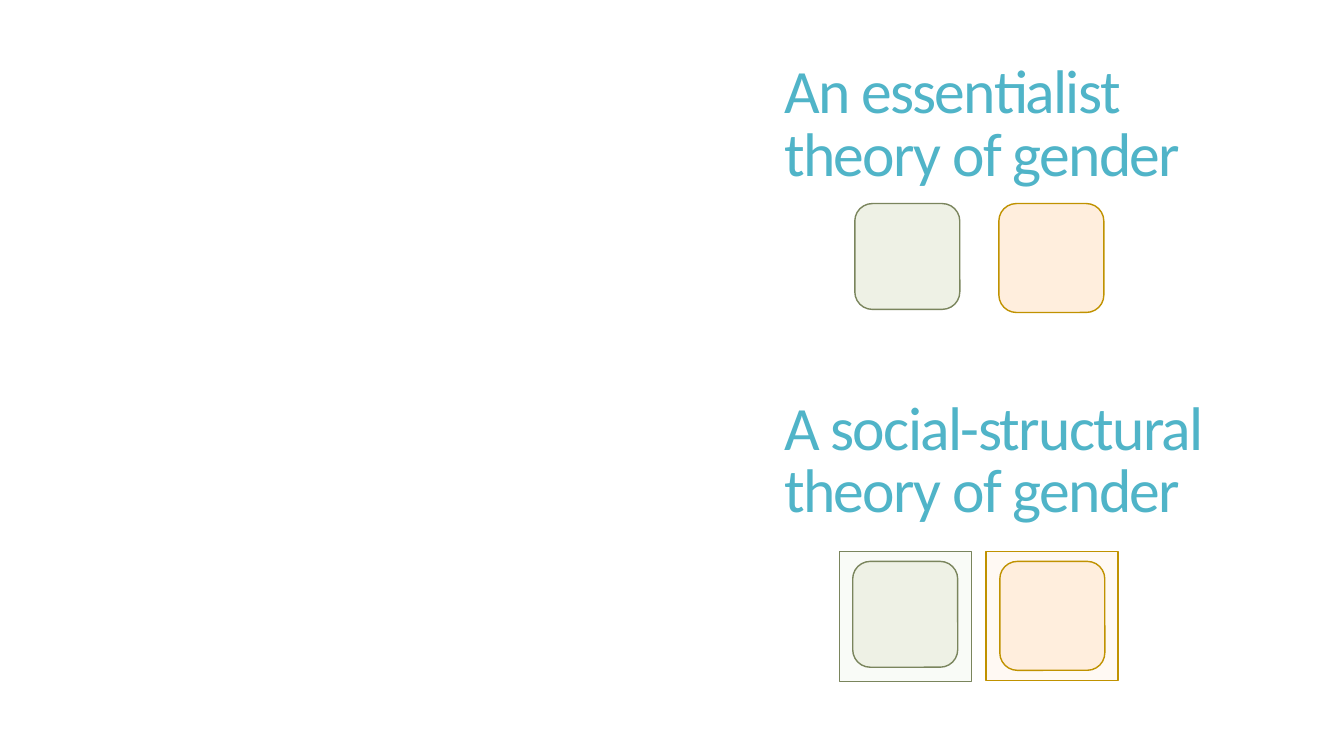
from dataclasses import dataclass

from pptx import Presentation
from pptx import util as u
from pptx.dml import color
from pptx.enum import shapes, text


@dataclass(frozen=True)
class Tone:
    tile: str
    frame: str
    line: str


@dataclass(frozen=True)
class Theme:
    font: str = "Calibri"
    heading: str = "50B4C8"
    heading_size: float = 44
    heading_leading: float = 0.85
    heading_tracking: float = -1.2
    line_width: float = 1
    green: Tone = Tone("EEF1E5", "F9FBF7", "7A855D")
    orange: Tone = Tone("FFEEDD", "FFF9F3", "C09200")


@dataclass(frozen=True)
class Heading:
    top: float
    lines: tuple[str, ...]


@dataclass(frozen=True)
class Square:
    left: float
    top: float
    width: float
    height: float
    tone: Tone
    framing: bool = False


THEME = Theme()
HEADING_LEFT, HEADING_WIDTH, HEADING_HEIGHT = 553, 355.7, 170
TILE_WIDTH, GREEN_HEIGHT, ORANGE_HEIGHT = 75, 75.6, 77.8
FRAME_SIDE = 94.3
ESSENTIALIST_TOP, FRAME_TOP, FRAMED_TOP = 145.4, 393.8, 401

HEADINGS = (
    Heading(245.5, ("A social-structural theory of gender",)),
    Heading(5, ("An essentialist", "theory of gender")),
)
ESSENTIALIST = (
    Square(713.5, ESSENTIALIST_TOP, TILE_WIDTH, ORANGE_HEIGHT, THEME.orange),
    Square(610.6, ESSENTIALIST_TOP, TILE_WIDTH, GREEN_HEIGHT, THEME.green),
)
SOCIAL_STRUCTURAL = (
    Square(704.2, FRAME_TOP, FRAME_SIDE, 92.2, THEME.orange, framing=True),
    Square(599.8, FRAME_TOP, FRAME_SIDE, 92.9, THEME.green, framing=True),
    Square(714.2, FRAMED_TOP, TILE_WIDTH, ORANGE_HEIGHT, THEME.orange),
    Square(609.1, FRAMED_TOP, TILE_WIDTH, GREEN_HEIGHT, THEME.green),
)


def rgb(value: str) -> color.RGBColor:
    return color.RGBColor.from_string(value)


def draw_heading(page, heading: Heading) -> None:
    box = page.shapes.add_textbox(
        u.Pt(HEADING_LEFT), u.Pt(heading.top), u.Pt(HEADING_WIDTH), u.Pt(HEADING_HEIGHT)
    )
    frame = box.text_frame
    frame.word_wrap = True
    frame.vertical_anchor = text.MSO_ANCHOR.MIDDLE
    para = frame.paragraphs[0]
    para.line_spacing = THEME.heading_leading
    for index, line in enumerate(heading.lines):
        if index:
            para.add_line_break()
        span = para.add_run()
        span.text = line
        span.font.name = THEME.font
        span.font.size = u.Pt(THEME.heading_size)
        span.font.color.rgb = rgb(THEME.heading)
        span._r.get_or_add_rPr().set("spc", str(round(THEME.heading_tracking * 100)))


def draw_square(canvas, square: Square) -> None:
    kinds = shapes.MSO_SHAPE
    shape = canvas.add_shape(
        kinds.RECTANGLE if square.framing else kinds.ROUNDED_RECTANGLE,
        u.Pt(square.left), u.Pt(square.top), u.Pt(square.width), u.Pt(square.height),
    )
    shape.shadow.inherit = False
    shape.fill.solid()
    shape.fill.fore_color.rgb = rgb(square.tone.frame if square.framing else square.tone.tile)
    shape.line.color.rgb = rgb(square.tone.line)
    shape.line.width = u.Pt(THEME.line_width)


def main() -> None:
    deck = Presentation()
    deck.slide_width, deck.slide_height = u.Pt(960), u.Pt(540)
    page = deck.slides.add_slide(deck.slide_layouts[6])
    for heading in HEADINGS:
        draw_heading(page, heading)
    for square in ESSENTIALIST:
        draw_square(page.shapes, square)
    group = page.shapes.add_group_shape()
    for square in SOCIAL_STRUCTURAL:
        draw_square(group.shapes, square)
    deck.save("out.pptx")


if __name__ == "__main__":
    main()
